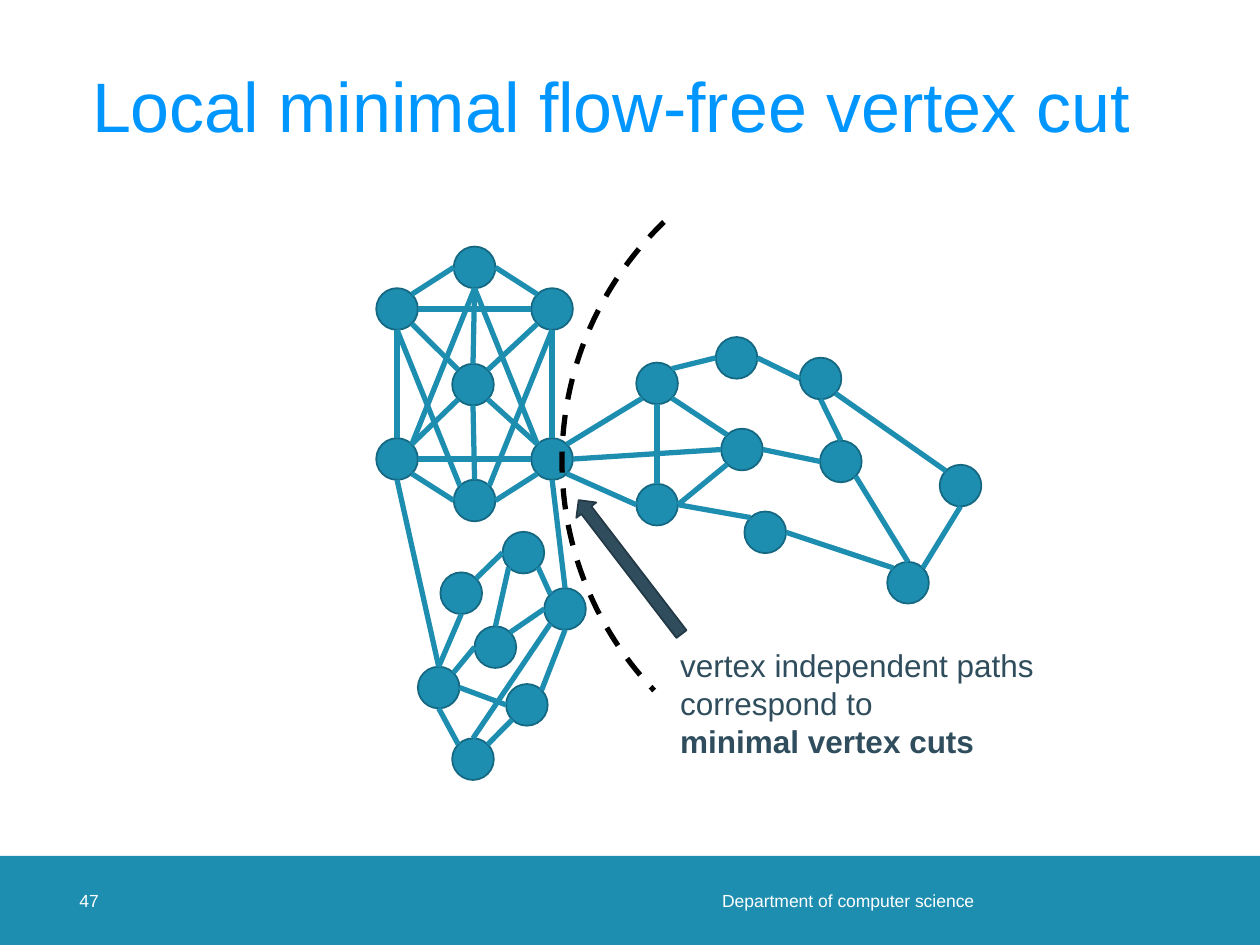
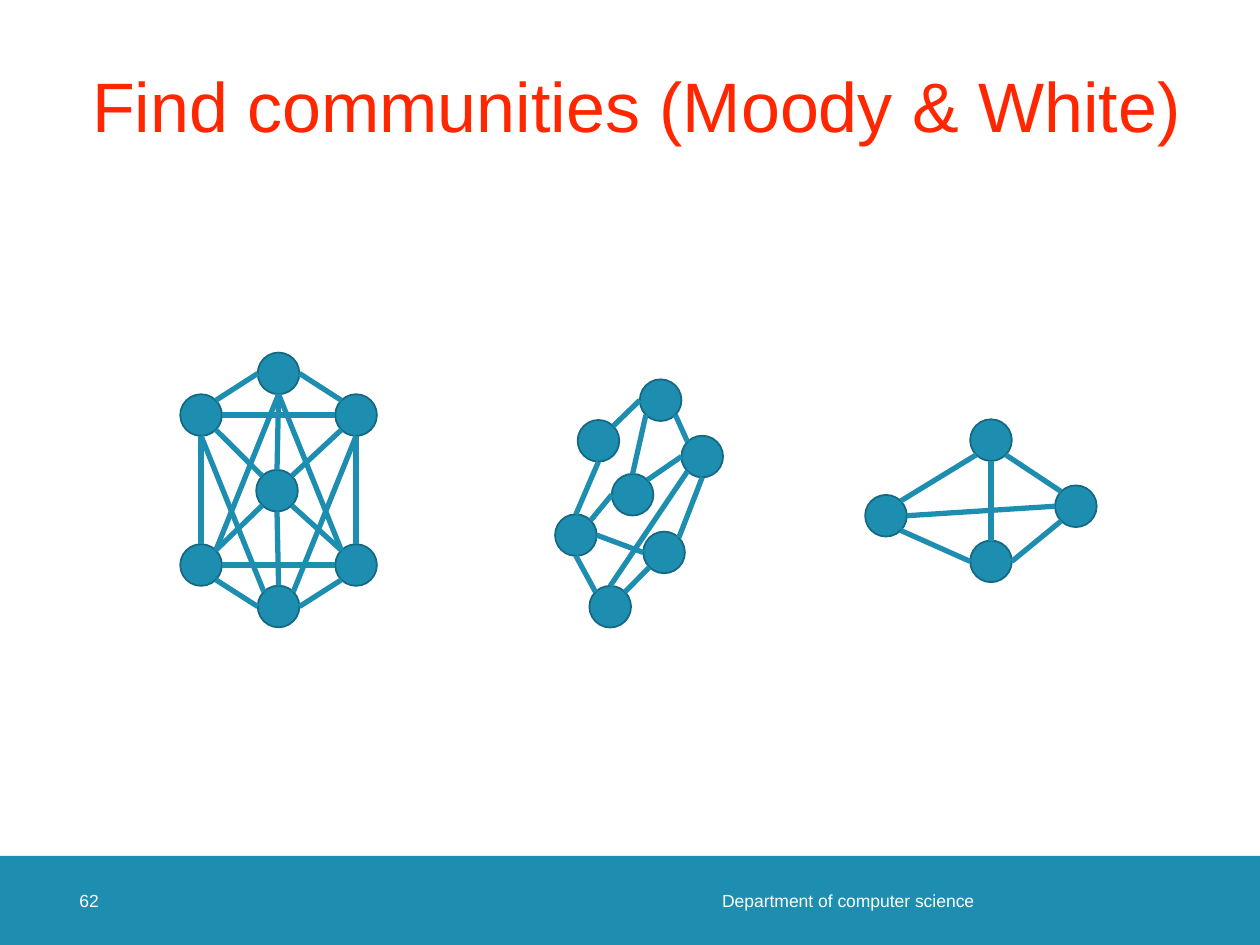
from dataclasses import dataclass
from math import cos, radians, sin

from lxml import etree
from pptx import Presentation
from pptx.dml.color import RGBColor
from pptx.enum.dml import MSO_LINE
from pptx.enum.shapes import MSO_CONNECTOR, MSO_SHAPE
from pptx.enum.text import MSO_ANCHOR, MSO_AUTO_SIZE, PP_ALIGN
from pptx.oxml.ns import qn
from pptx.util import Pt

RECTANGLE, ELLIPSE = MSO_SHAPE.RECTANGLE, MSO_SHAPE.OVAL
ARC, DOWN_ARROW = MSO_SHAPE.ARC, MSO_SHAPE.DOWN_ARROW
STRAIGHT, DASH = MSO_CONNECTOR.STRAIGHT, MSO_LINE.DASH
TOP, MIDDLE = MSO_ANCHOR.TOP, MSO_ANCHOR.MIDDLE
LEFT, RIGHT = PP_ALIGN.LEFT, PP_ALIGN.RIGHT
NO_FIT, GROW = MSO_AUTO_SIZE.NONE, MSO_AUTO_SIZE.SHAPE_TO_FIT_TEXT
TITLE_ONLY = 5


@dataclass(frozen=True)
class Theme:
    font: str = "Arial"
    teal: str = "1D8DB0"
    teal_dark: str = "156882"
    slate: str = "2F4D5D"
    slate_dark: str = "233945"
    blue: str = "0096FF"
    red: str = "FF2600"
    black: str = "000000"
    white: str = "FFFFFF"
    title_size: int = 40
    note_size: int = 18
    footer_size: int = 10
    vertex: float = 23.8
    edge: int = 3
    outline: int = 1


@dataclass(frozen=True)
class Community:
    vertices: dict
    edges: tuple


COMPASS = {name: radians(45 * turn) for turn, name in
           enumerate(("E", "SE", "S", "SW", "W", "NW", "N", "NE"))}

CLIQUE = Community(
    {"upper_left": (0, 23.8), "top": (44.3, 0), "upper_right": (88.6, 23.8),
     "centre": (43.4, 67), "lower_left": (0, 109.5),
     "lower_right": (88.6, 109.5), "bottom": (44.3, 133.2)},
    ("upper_left NE top W", "upper_left E upper_right W",
     "upper_left SE centre NW", "upper_left S lower_left N",
     "lower_left NE centre SW", "centre NE upper_right SW",
     "top E upper_right NW", "upper_right S lower_right N",
     "lower_right NW centre SE", "lower_left E lower_right W",
     "lower_left SE bottom W", "lower_right SW bottom E",
     "bottom NE upper_right S", "bottom NW upper_left S",
     "top S lower_left NE", "top S lower_right NW",
     "centre S bottom N", "top S centre N"))

CLUSTER = Community(
    {"peak": (48.4, 0), "shoulder": (12.9, 23.2), "rim": (72.2, 32.2),
     "core": (32.4, 54), "hub": (0, 77.1), "flank": (50.4, 87),
     "foot": (19.6, 118)},
    ("hub N shoulder S", "shoulder NE peak W", "peak SE rim NW",
     "rim S flank NE", "flank SW foot NE", "foot N rim SW",
     "core N peak SW", "core NE rim W", "hub NE core W",
     "hub E flank W", "foot NW hub S"))

DIAMOND = Community(
    {"gate": (0, 43.2), "above": (60, 0), "below": (60, 69.3),
     "east": (108.5, 37.8)},
    ("gate NE above SW", "gate SE below W", "below N above S",
     "below E east SW", "above SE east NW", "gate E east W"))

TRAIL = Community(
    {"ridge": (0, 0), "crest": (48, 11.8), "bend": (59.6, 59.2),
     "low": (16.4, 99.7), "tip": (98, 128.5), "far": (128, 73)},
    ("above NE ridge W", "ridge E crest W", "east E bend W",
     "below E low NW", "low E tip NW", "bend SE tip N",
     "tip NE far S", "far NW crest SE", "crest S bend N"))

BRIDGES = ("lower_left S hub N", "lower_right S rim N")


class Deck:
    def __init__(self, theme):
        self.theme = theme
        self.presentation = Presentation()
        self.presentation.slide_width = Pt(720)
        self.presentation.slide_height = Pt(540)
        self.slide = None

    def start_slide(self, heading, color, number, title_width):
        layout = self.presentation.slide_layouts[TITLE_ONLY]
        self.slide = self.presentation.slides.add_slide(layout)
        self.footer(number)
        title = self.slide.shapes.title
        title.left, title.top = Pt(45.4), Pt(17.3)
        title.width, title.height = Pt(title_width), Pt(90.7)
        frame = title.text_frame
        frame.auto_size = NO_FIT
        frame.word_wrap = True
        frame.vertical_anchor = MIDDLE
        paragraph = frame.paragraphs[0]
        paragraph.alignment = LEFT
        paragraph.line_spacing = 0.9
        self.run(paragraph, heading, self.theme.title_size, color)

    def footer(self, number):
        theme = self.theme
        top, height = 489, 51
        self.shape(RECTANGLE, (0, top, 720, height), theme.teal)
        for words, left, width, align, inset in (
                ("Department of computer science", 280, 291, RIGHT, 14.4),
                (number, 45.4, 51, LEFT, 0)):
            frame = self.text((left, top, width, height), [(words, False)],
                              theme.footer_size, theme.white, align, MIDDLE)
            frame.margin_left = frame.margin_top = frame.margin_bottom = 0
            frame.margin_right = Pt(inset)

    def run(self, paragraph, words, size, color, bold=False):
        run = paragraph.add_run()
        run.text = words
        run.font.name = self.theme.font
        run.font.size = Pt(size)
        run.font.bold = bold
        run.font.color.rgb = RGBColor.from_string(color)

    def text(self, box, lines, size, color, align=LEFT, anchor=TOP):
        frame = self.slide.shapes.add_textbox(*map(Pt, box)).text_frame
        frame.word_wrap = True
        frame.vertical_anchor = anchor
        for index, (words, bold) in enumerate(lines):
            paragraph = frame.add_paragraph() if index else frame.paragraphs[0]
            paragraph.alignment = align
            self.run(paragraph, words, size, color, bold)
        return frame

    def shape(self, kind, box, fill=None, line=None, weight=1, rotation=0):
        shape = self.slide.shapes.add_shape(kind, *map(Pt, box))
        shape.shadow.inherit = False
        shape.rotation = rotation
        if fill:
            shape.fill.solid()
            shape.fill.fore_color.rgb = RGBColor.from_string(fill)
        else:
            shape.fill.background()
        if line:
            shape.line.color.rgb = RGBColor.from_string(line)
            shape.line.width = Pt(weight)
        else:
            shape.line.fill.background()
        return shape

    def dashed_arc(self, box, rotation):
        theme = self.theme
        arc = self.shape(ARC, box, None, theme.black, theme.edge, rotation)
        arc.line.dash_style = DASH
        arc.element.spPr.find(qn("a:xfrm")).set("flipH", "1")

    def edge(self, start, end):
        edge = self.slide.shapes.add_connector(
            STRAIGHT, *(Pt(value) for value in (*start, *end)))
        edge.line.color.rgb = RGBColor.from_string(self.theme.teal)
        edge.line.width = Pt(self.theme.edge)
        etree.SubElement(edge.element.spPr, qn("a:effectLst"))

    def edges(self, links, centres):
        radius = self.theme.vertex / 2

        def rim_point(vertex, side):
            x, y = centres[vertex]
            angle = COMPASS[side]
            return x + radius * cos(angle), y + radius * sin(angle)

        for link in links:
            source, leaving, target, entering = link.split()
            self.edge(rim_point(source, leaving), rim_point(target, entering))

    def community(self, group, left, top, shared=None):
        theme = self.theme
        size = theme.vertex
        centres = dict(shared or {})
        for name, (x, y) in group.vertices.items():
            if name not in centres:
                self.shape(ELLIPSE, (left + x, top + y, size, size),
                           theme.teal, theme.teal_dark, theme.outline)
                centres[name] = (left + x + size / 2, top + y + size / 2)
        self.edges(group.edges, centres)
        return centres


def vertex_cut_slide(deck):
    theme = deck.theme
    deck.start_slide("Local minimal flow-free vertex cut", theme.blue, "47", 629.3)
    clique = deck.community(CLIQUE, 215, 140.9)
    cluster = deck.community(CLUSTER, 238.8, 303.9)
    diamond = deck.community(DIAMOND, 303.6, 207.2,
                             {"gate": clique["lower_right"]})
    deck.community(TRAIL, 409, 192.6, diamond)
    deck.edges(BRIDGES, clique | cluster)
    deck.dashed_arc((321.1, 74.2, 378.7, 378.7), 316.2)
    deck.shape(DOWN_ARROW, (352.8, 275.8, 14.4, 96.5), theme.slate,
               theme.slate_dark, theme.outline, 142.5)
    note = deck.text((381.6, 365.8, 242.6, 72.7),
                     [("vertex independent paths", False),
                      ("correspond to", False),
                      ("minimal vertex cuts", True)],
                     theme.note_size, theme.slate)
    note.auto_size = GROW


def communities_slide(deck):
    deck.start_slide("Find communities (Moody & White)", deck.theme.red, "62", 674.6)
    deck.community(CLIQUE, 103, 201.5)
    deck.community(CLUSTER, 317.2, 216.8)
    deck.community(DIAMOND, 494.4, 239.6)


def main():
    deck = Deck(Theme())
    vertex_cut_slide(deck)
    communities_slide(deck)
    deck.presentation.save("out.pptx")


if __name__ == "__main__":
    main()
